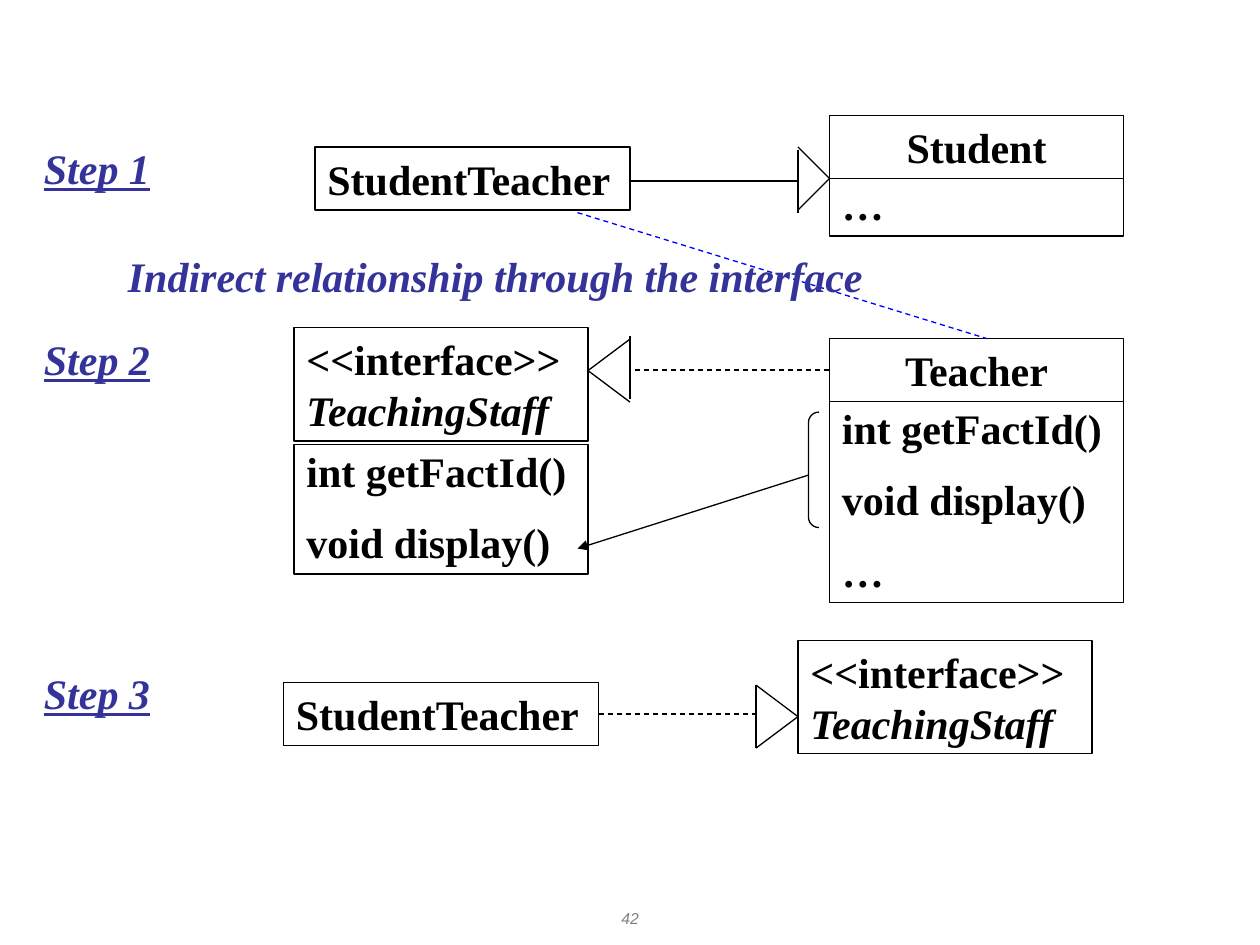
"""Build a three-step class diagram replacing multiple inheritance with an interface."""
from dataclasses import dataclass

from lxml.etree import SubElement
from pptx import Presentation
from pptx.dml.color import RGBColor as RGB
from pptx.enum.dml import MSO_LINE as Dash
from pptx.enum.shapes import MSO_CONNECTOR as Connector, MSO_SHAPE as Shape
from pptx.enum.text import MSO_ANCHOR as Anchor, MSO_AUTO_SIZE as AutoSize, PP_ALIGN as Align
from pptx.oxml.ns import qn
from pptx.util import Pt


@dataclass(frozen=True)
class Theme:
    ink: RGB = RGB(0, 0, 0)
    accent: RGB = RGB(0x33, 0x33, 0x99)
    indirect: RGB = RGB(0, 0, 0xFF)
    muted: RGB = RGB(0x80, 0x80, 0x80)
    body_font: str = "Times New Roman"
    number_font: str = "Arial"
    body_size: int = 24
    number_size: int = 9
    stroke: float = 0.75
    spacing: int = 15


THEME = Theme()
CLASS_W, NAME_H, INTERFACE_H = 168, 36, 64.8
HALF_HEAD = 18

METHODS = ["int getFactId()", "void display()"]
INTERFACE = ("<<interface>>", " TeachingStaff")

NAMES = [
    ("StudentTeacher", (180, 84, 180, NAME_H), Align.LEFT),
    ("StudentTeacher", (162, 390, 180, NAME_H), Align.LEFT),
    ("Student", (474, 66, CLASS_W, NAME_H), Align.CENTER),
    ("Teacher", (474, 193.5, CLASS_W, NAME_H), Align.CENTER),
]
INTERFACES = [(168, 187.2), (456, 366)]
MEMBERS = [
    (["…"], (474, 102, CLASS_W, 33)),
    (METHODS, (168, 254, CLASS_W, 74)),
    (METHODS + ["…"], (474, 229.5, CLASS_W, 115)),
]
STEPS = [("Step 1", 78), ("Step 2", 187.2), ("Step 3", 378)]
CAPTION = ("Indirect relationship through the interface", (66, 139.5, 462, 36))
PAGE_NUMBER = ("42", (276, 516, 168, 18.7))

BRACKET = (462, 235.5, 6, 66)
METHOD_LINK = ((462, 271.5), (330, 313.5))
INHERITANCE = ((360, 103.5), (456, 103.5))
DASHED_LINKS = [
    ((342, 408), (432, 408), THEME.ink),
    ((474, 211.5), (360, 211.5), THEME.ink),
    ((330, 121.5), (564, 193.5), THEME.indirect),
]
HEADS = [(456, 474, 102, 1.5), (360, 336, 211.8, -1.5), (432, 456, 409.5, 0)]


def style_line(line, color=THEME.ink):
    line.color.rgb = color
    line.width = Pt(THEME.stroke)


def add_text(slide, paragraphs, place, color=THEME.ink, align=Align.LEFT,
             outlined=False, line_spacing=1.0, italic=False, underline=False):
    spot = [Pt(v) for v in place]
    if outlined:
        holder = slide.shapes.add_shape(Shape.RECTANGLE, *spot)
        holder.shadow.inherit = False
        holder.fill.background()
        style_line(holder.line)
    else:
        holder = slide.shapes.add_textbox(*spot)
    frame = holder.text_frame
    frame.word_wrap = True
    frame.auto_size = AutoSize.SHAPE_TO_FIT_TEXT
    frame.vertical_anchor = Anchor.TOP
    for index, words in enumerate(paragraphs):
        paragraph = frame.add_paragraph() if index else frame.paragraphs[0]
        paragraph.text = words
        paragraph.alignment = align
        paragraph.line_spacing = line_spacing
        paragraph.space_before = Pt(THEME.spacing if index else 0)
        font = paragraph.font
        font.name, font.size = THEME.body_font, Pt(THEME.body_size)
        font.bold, font.italic, font.underline = True, italic, underline
        font.color.rgb = color
    return frame


def add_interface(slide, left, top):
    stereotype, name = INTERFACE
    frame = add_text(slide, [stereotype], (left, top, CLASS_W, INTERFACE_H), outlined=True)
    name_run = frame.paragraphs[0].add_run()
    name_run.text = name
    name_run.font.italic = True


def add_line(slide, start, end, color=THEME.ink, dashed=False, arrow=False):
    link = slide.shapes.add_connector(Connector.STRAIGHT, *[Pt(v) for v in (*start, *end)])
    style_line(link.line, color)
    if dashed:
        link.line.dash_style = Dash.DASH
    properties = link.element.spPr
    if arrow:
        SubElement(properties.find(qn("a:ln")), qn("a:tailEnd"), type="triangle")
    SubElement(properties, qn("a:effectLst"))


def add_head(slide, base, tip, middle, base_shift):
    top, bottom = middle - HALF_HEAD, middle + HALF_HEAD
    for y in (top, bottom):
        add_line(slide, (base, y), (tip, middle))
    add_line(slide, (base, top + base_shift), (base, bottom + base_shift))


def add_bracket(slide):
    bracket = slide.shapes.add_shape(Shape.LEFT_BRACKET, *[Pt(v) for v in BRACKET])
    bracket.adjustments[0] = 1
    bracket.shadow.inherit = False
    bracket.fill.background()
    style_line(bracket.line)


def add_page_number(slide):
    number, place = PAGE_NUMBER
    frame = add_text(slide, [number], place, THEME.muted, Align.CENTER, italic=True)
    frame.auto_size = AutoSize.NONE
    font = frame.paragraphs[0].font
    font.name, font.size, font.bold = THEME.number_font, Pt(THEME.number_size), False


def main():
    deck = Presentation()
    deck.slide_width, deck.slide_height = Pt(720), Pt(540)
    slide = deck.slides.add_slide(deck.slide_layouts[6])
    for name, place, align in NAMES:
        add_text(slide, [name], place, align=align, outlined=True)
    for left, top in INTERFACES:
        add_interface(slide, left, top)
    for members, place in MEMBERS:
        add_text(slide, members, place, outlined=True, line_spacing=0.9)
    for step, top in STEPS:
        add_text(slide, [step], (18, top, 90, NAME_H), THEME.accent, italic=True, underline=True)
    add_bracket(slide)
    add_line(slide, *METHOD_LINK, arrow=True)
    add_line(slide, *INHERITANCE)
    for start, end, color in DASHED_LINKS:
        add_line(slide, start, end, color, dashed=True)
    caption, place = CAPTION
    add_text(slide, [caption], place, THEME.accent, italic=True)
    for head in HEADS:
        add_head(slide, *head)
    add_page_number(slide)
    deck.save("out.pptx")


if __name__ == "__main__":
    main()
